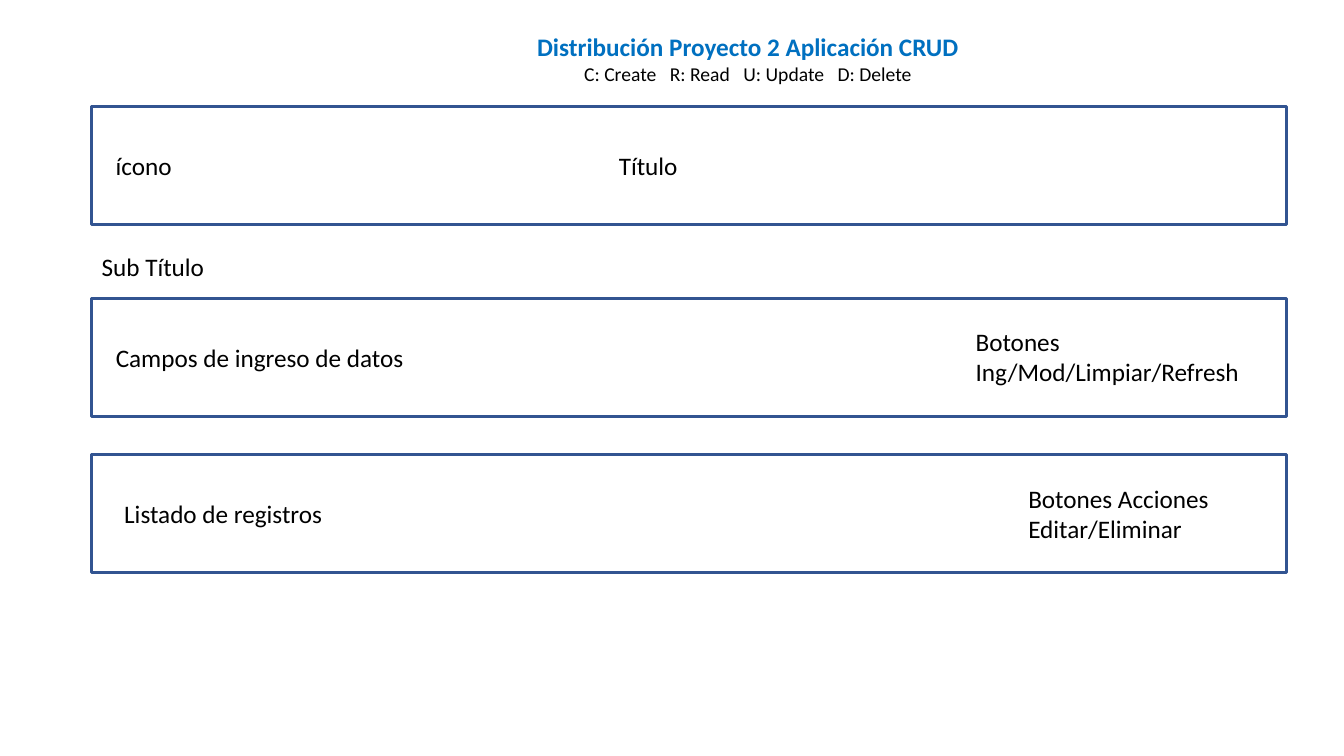
from typing import NamedTuple

from pptx import Presentation
from pptx.dml.color import RGBColor
from pptx.enum.shapes import MSO_SHAPE
from pptx.enum.text import MSO_ANCHOR, MSO_AUTO_SIZE, PP_ALIGN
from pptx.slide import Slide
from pptx.text.text import TextFrame, _Run as Run
from pptx.util import Pt

FONT = "Calibri"
BLACK = RGBColor(0x00, 0x00, 0x00)
TITLE_BLUE = RGBColor(0x00, 0x70, 0xC0)
FRAME_BLUE = RGBColor(0x32, 0x54, 0x91)

FRAME_LEFT, FRAME_WIDTH, FRAME_HEIGHT = 65.5, 853.2, 84.2
LINE_HEIGHT = 21.9
INSET = 3.6
GAP_SPACING = 633  # hundredths of a point added to each space in the CRUD line


class Label(NamedTuple):
    """Text at a left edge, with the width of its box, in points."""
    text: str
    left: float
    width: float


class Section(NamedTuple):
    """A framed area of the page, with the labels centred on its height."""
    top: float
    labels: tuple[Label, ...]


SECTIONS = (
    Section(76.3, (Label("ícono", 75.6, 54.7), Label("Título", 434.9, 56.9))),
    Section(213.1, (Label("Campos de ingreso de datos", 75.6, 222.5),
                    Label("Botones\vIng/Mod/Limpiar/Refresh", 689.8, 204.5))),
    Section(324.9, (Label("Listado de registros", 81.6, 157.7),
                    Label("Botones Acciones\vEditar/Eliminar", 727.4, 144.7))),
)
SUBTITLE = Label("Sub Título", 65.5, 88.6)
SUBTITLE_MIDDLE = 190.2
OPERATIONS = ("C: Create", "R: Read", "U: Update", "D: Delete")


def style_run(r: Run, size: float = 18, color: RGBColor = BLACK,
              bold: bool = False) -> None:
    """Set the font of a run."""
    r.font.name, r.font.size, r.font.bold = FONT, Pt(size), bold
    r.font.color.rgb = color


def fit_frame(tf: TextFrame, auto_size: MSO_AUTO_SIZE) -> None:
    """Keep the text on its own lines, starting at the top."""
    tf.word_wrap = False
    tf.auto_size = auto_size
    tf.vertical_anchor = MSO_ANCHOR.TOP
    tf.margin_top = tf.margin_bottom = Pt(INSET)


def add_label(slide: Slide, label: Label, middle: float) -> None:
    """Add a text box centred on a given height."""
    height = LINE_HEIGHT * (label.text.count("\v") + 1) + 2 * INSET
    sp = slide.shapes.add_textbox(Pt(label.left), Pt(middle - height / 2),
                                  Pt(label.width), Pt(height))
    tf = sp.text_frame
    fit_frame(tf, MSO_AUTO_SIZE.SHAPE_TO_FIT_TEXT)
    tf.text = label.text
    for r in tf.paragraphs[0].runs:
        style_run(r)


def add_section(slide: Slide, section: Section) -> None:
    """Add an outlined frame and its labels."""
    sp = slide.shapes.add_shape(MSO_SHAPE.RECTANGLE, Pt(FRAME_LEFT), Pt(section.top),
                                Pt(FRAME_WIDTH), Pt(FRAME_HEIGHT))
    sp.shadow.inherit = False
    sp.fill.background()
    sp.line.color.rgb = FRAME_BLUE
    sp.line.width = Pt(2)
    for label in section.labels:
        add_label(slide, label, section.top + FRAME_HEIGHT / 2)


def fill_title(slide: Slide) -> None:
    """Write the heading and the spaced line of CRUD operations."""
    sp = slide.shapes.title
    sp.left, sp.top, sp.width, sp.height = Pt(375.1), Pt(18.9), Pt(318.2), Pt(46)
    tf = sp.text_frame
    fit_frame(tf, MSO_AUTO_SIZE.NONE)
    tf.text = "Distribución Proyecto 2 Aplicación CRUD"
    style_run(tf.paragraphs[0].runs[0], color=TITLE_BLUE, bold=True)
    p = tf.add_paragraph()
    for i, operation in enumerate(OPERATIONS):
        if i:
            gap = p.add_run()
            gap.text = " "
            style_run(gap, size=14)
            gap.font._element.set("spc", str(GAP_SPACING))
        r = p.add_run()
        r.text = operation
        style_run(r, size=14)
    for p in tf.paragraphs:
        p.alignment = PP_ALIGN.CENTER


prs = Presentation()
prs.slide_width, prs.slide_height = Pt(960), Pt(540)
slide = prs.slides.add_slide(prs.slide_layouts[5])
fill_title(slide)
for section in SECTIONS:
    add_section(slide, section)
add_label(slide, SUBTITLE, SUBTITLE_MIDDLE)
prs.save("out.pptx")
